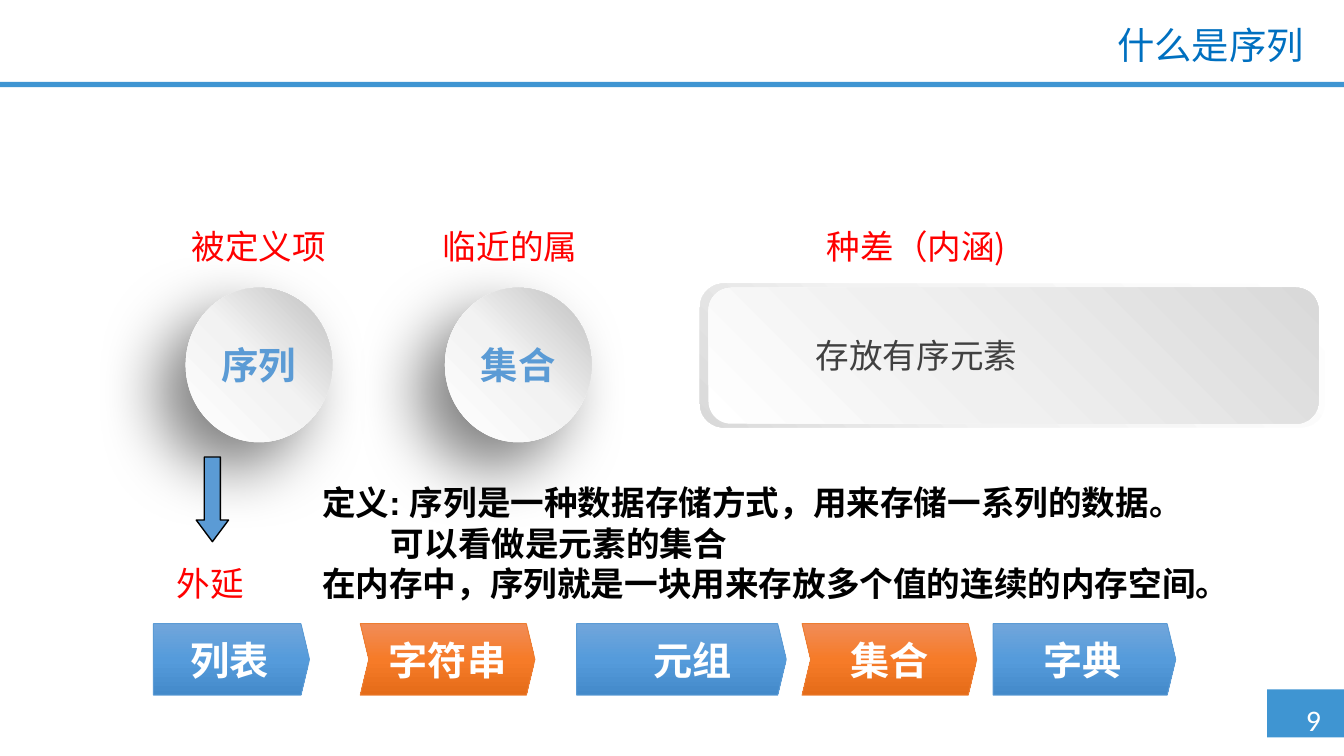
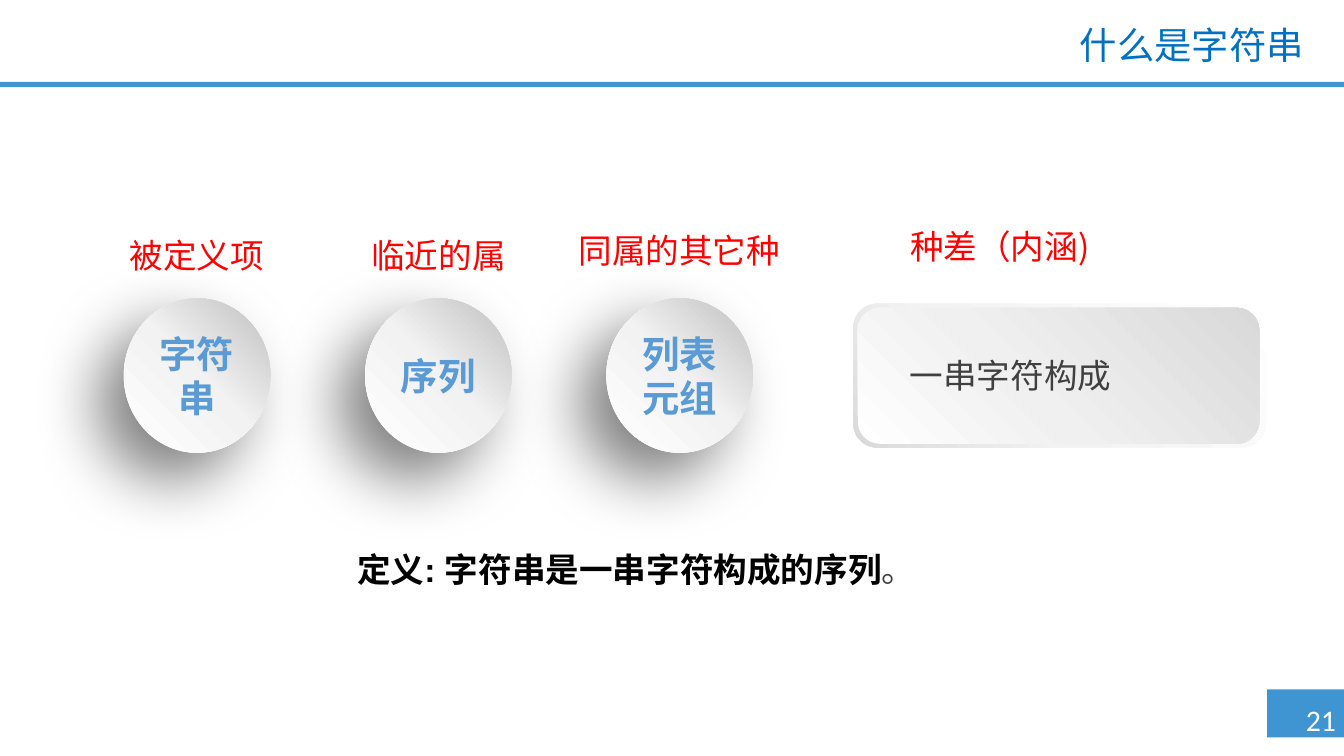
from pptx import Presentation
from pptx import util as u
from pptx.dml.color import RGBColor
from pptx.enum import shapes, text
from pptx.oxml.ns import qn
from lxml import etree

BAND = RGBColor(0x3F, 0x95, 0xD2)
TITLE = RGBColor(0x00, 0x70, 0xC0)
BLUE = RGBColor(0x5B, 0x9B, 0xD5)
ORANGE = RGBColor(0xED, 0x7D, 0x31)
RED = RGBColor(0xFF, 0x00, 0x00)
BLACK = RGBColor(0x00, 0x00, 0x00)
GRAY = RGBColor(0x40, 0x40, 0x40)
WHITE = RGBColor(0xFF, 0xFF, 0xFF)

BALL_FILL = ([(0, "FFFFFF"), (51, "F2F2F2"), (100, "BFBFBF")], 315)
RIM_FILL = ([(0, "FFFFFF"), (62, "F2F2F2"), (100, "D9D9D9")], 135)
PANEL_FILL = ([(0, "FFFFFF"), (42, "F0F0F0"), (100, "D9D9D9")], 315)
BLUE_FILL = ([(0, "71A6DB"), (50, "559BDB"), (100, "448ACA")], 90)
ORANGE_FILL = ([(0, "F18C57"), (50, "F67B28"), (100, "E56C19")], 90)

CJK = "Noto Sans CJK SC"
TITLE_STYLE = dict(name="Lato", size=u.Pt(20), color=TITLE)
PAGE_STYLE = dict(name="Calibri", size=u.Pt(16), color=WHITE)
BALL_STYLE = dict(name="Calibri", size=u.Pt(20), bold=True, color=BLUE)
LABEL_STYLE = dict(name=CJK, size=u.Pt(18), color=RED)
PANEL_STYLE = dict(name=CJK, size=u.Pt(18), color=GRAY)
CHIP_STYLE = dict(name=CJK, size=u.Pt(21), bold=True, color=WHITE)
DEFINE_STYLE = dict(name="Arial", size=u.Pt(18), bold=True, color=BLACK)

BALL_W, BALL_H = 2.77, 2.92
LABEL_H = 1.02
RIM_H, PANEL_H = 2.72, 2.57
CHIP_TOP, CHIP_H = 11.79, 1.35

SLIDES = [
    dict(
        title="什么是序列", page="9", ball_top=5.44,
        balls=[("序列", 3.51), ("集合", 8.41)],
        labels=[("被定义项", 2.31, 4.14, 5.16), ("临近的属", 6.81, 4.14, 5.66),
                ("种差（内涵)", 14.86, 4.14, 4.93), ("外延", 1.14, 10.52, 5.66)],
        rim=(13.23, 5.36, 11.81), panel=(13.39, 5.44, 11.53),
        panel_text=("存放有序元素", 15.16, 6.2),
        define=(5.84, 8.99, 17.75, 2.57),
        lines=[("定义: 序列是一种数据存储方式，用来存储一系列的数据。", 0),
               ("可以看做是元素的集合", 1.3),
               ("在内存中，序列就是一块用来存放多个值的连续的内存空间。", 0)],
        arrow=(3.71, 8.64, 0.61, 1.6),
        chips=[("列表", 2.9, 2.95, 0), ("字符串", 6.81, 3.3, 0), ("元组", 10.9, 3.96, 0.51),
               ("集合", 15.16, 3.3, 0), ("字典", 18.77, 3.45, 0)],
    ),
    dict(
        title="什么是字符串", page="21", ball_top=5.64,
        balls=[("字符串", 2.34), ("序列", 6.9), ("列表\n元组", 11.46)],
        labels=[("被定义项", 1.14, 4.32, 5.16), ("临近的属", 5.46, 4.32, 5.66),
                ("同属的其它种", 10.01, 4.22, 5.66), ("种差（内涵)", 16.43, 4.14, 4.93)],
        rim=(16.13, 5.74, 7.8), panel=(16.21, 5.82, 7.59),
        panel_text=("一串字符构成", 16.94, 6.58),
        define=(6.5, 10.26, 11.1, 1.02),
        lines=[("定义: 字符串是一串字符构成的序列", 0)],
        full_stop="。",
    ),
]


def box(left, top, width, height):
    return [u.Cm(v) for v in (left, top, width, height)]


def add_run(p, words, style):
    r = p.add_run()
    r.text = words
    for key, value in style.items():
        if key == "color":
            r.font.color.rgb = value
        else:
            setattr(r.font, key, value)
    etree.SubElement(r._r.get_or_add_rPr(), qn("a:ea")).set("typeface", CJK)


def write(tf, words, style, align=text.PP_ALIGN.CENTER):
    for i, line in enumerate(words.split("\n")):
        p = tf.add_paragraph() if i else tf.paragraphs[0]
        p.alignment = align
        add_run(p, line, style)
    return tf


def add_text(s, at, words, style, wrap=True, align=text.PP_ALIGN.CENTER):
    tf = s.shapes.add_textbox(*box(*at)).text_frame
    tf.word_wrap = wrap
    return write(tf, words, style, align)


def add_color(parent, value):
    color = etree.SubElement(parent, qn("a:srgbClr"))
    color.set("val", value)
    return color


def set_gradient(sp, stops, angle):
    sp.fill.gradient()
    grad = sp._element.spPr.find(qn("a:gradFill"))
    grad.clear()
    gs_list = etree.SubElement(grad, qn("a:gsLst"))
    for pos, value in stops:
        gs = etree.SubElement(gs_list, qn("a:gs"))
        gs.set("pos", str(pos * 1000))
        add_color(gs, value)
    lin = etree.SubElement(grad, qn("a:lin"))
    lin.set("ang", str(angle * 60000))
    lin.set("scaled", "0")


def add_shape(s, kind, at, fill, line=None, weight=0.5):
    sp = s.shapes.add_shape(kind, *box(*at))
    sp.shadow.inherit = False
    if isinstance(fill, RGBColor):
        sp.fill.solid()
        sp.fill.fore_color.rgb = fill
    else:
        set_gradient(sp, *fill)
    if line is None:
        sp.line.fill.background()
    else:
        sp.line.color.rgb = line
        sp.line.width = u.Pt(weight)
    return sp


def add_ball(s, words, left, top):
    sp = add_shape(s, SHAPE.OVAL, (left, top, BALL_W, BALL_H), BALL_FILL)
    effects = sp._element.spPr.find(qn("a:effectLst"))
    shadow = etree.SubElement(effects, qn("a:outerShdw"))
    for key, value in dict(blurRad=u.Pt(35), dist=u.Pt(20), dir=135 * 60000).items():
        shadow.set(key, str(int(value)))
    etree.SubElement(add_color(shadow, "000000"), qn("a:alpha")).set("val", "50000")
    sp.text_frame.vertical_anchor = text.MSO_ANCHOR.MIDDLE
    sp.text_frame.word_wrap = True
    write(sp.text_frame, words, BALL_STYLE)


def add_chip(s, i, words, left, width, inset):
    kind, fill, line, adj = [
        (SHAPE.PENTAGON, BLUE_FILL, BLUE, 0.12),
        (SHAPE.CHEVRON, ORANGE_FILL, ORANGE, 0.12),
    ][i % 2]
    sp = add_shape(s, kind, (left, CHIP_TOP, width, CHIP_H), fill, line)
    sp.adjustments[0] = adj
    tf = sp.text_frame
    frame = dict(margin_left=u.Cm(inset), margin_right=0, margin_top=0, margin_bottom=0,
                 vertical_anchor=text.MSO_ANCHOR.MIDDLE)
    for key, value in frame.items():
        setattr(tf, key, value)
    write(tf, words, CHIP_STYLE)


def add_definition(s, d):
    tf = add_text(s, d["define"], "\n".join(line for line, _ in d["lines"]),
                  DEFINE_STYLE, align=text.PP_ALIGN.LEFT)
    for p, (_, indent) in zip(tf.paragraphs, d["lines"]):
        if indent:
            p._p.get_or_add_pPr().set("marL", str(int(u.Cm(indent))))
    if "full_stop" in d:
        add_run(tf.paragraphs[-1], d["full_stop"], PANEL_STYLE)


def add_frame(s, title, page):
    add_shape(s, SHAPE.RECTANGLE, (23.95, 13.03, 1.45, 0.91), BAND)
    add_shape(s, SHAPE.RECTANGLE, (0, 1.55, 25.4, 0.1), BAND)
    tf = add_text(s, (24.43, 13.13, 0.97, 0.94), page, PAGE_STYLE, align=text.PP_ALIGN.LEFT)
    tf.margin_right = 0
    sp = s.shapes.title
    sp.left, sp.top, sp.width, sp.height = box(6.1, 0.38, 18.8, 1.02)
    write(sp.text_frame, title, TITLE_STYLE, text.PP_ALIGN.RIGHT)
    sp.text_frame.paragraphs[0].line_spacing = 0.9


def build_slide(prs, d):
    s = prs.slides.add_slide(prs.slide_layouts[5])
    add_frame(s, d["title"], d["page"])
    for words, left in d["balls"]:
        add_ball(s, words, left, d["ball_top"])
    for words, left, top, width in d["labels"]:
        add_text(s, (left, top, width, LABEL_H), words, LABEL_STYLE)
    add_shape(s, SHAPE.ROUNDED_RECTANGLE, (*d["rim"], RIM_H), RIM_FILL)
    add_shape(s, SHAPE.ROUNDED_RECTANGLE, (*d["panel"], PANEL_H), PANEL_FILL)
    words, left, top = d["panel_text"]
    add_text(s, (left, top, 4.32, LABEL_H), words, PANEL_STYLE, wrap=False)
    add_definition(s, d)
    if "arrow" in d:
        sp = add_shape(s, SHAPE.DOWN_ARROW, d["arrow"], BLUE, BLACK, 0.75)
        sp.adjustments[1] = 0.67
    for i, chip in enumerate(d.get("chips", [])):
        add_chip(s, i, *chip)


SHAPE = shapes.MSO_SHAPE


def main():
    prs = Presentation()
    prs.slide_width, prs.slide_height = u.Cm(25.4), u.Cm(14.29)
    for d in SLIDES:
        build_slide(prs, d)
    prs.save("out.pptx")


if __name__ == "__main__":
    main()
